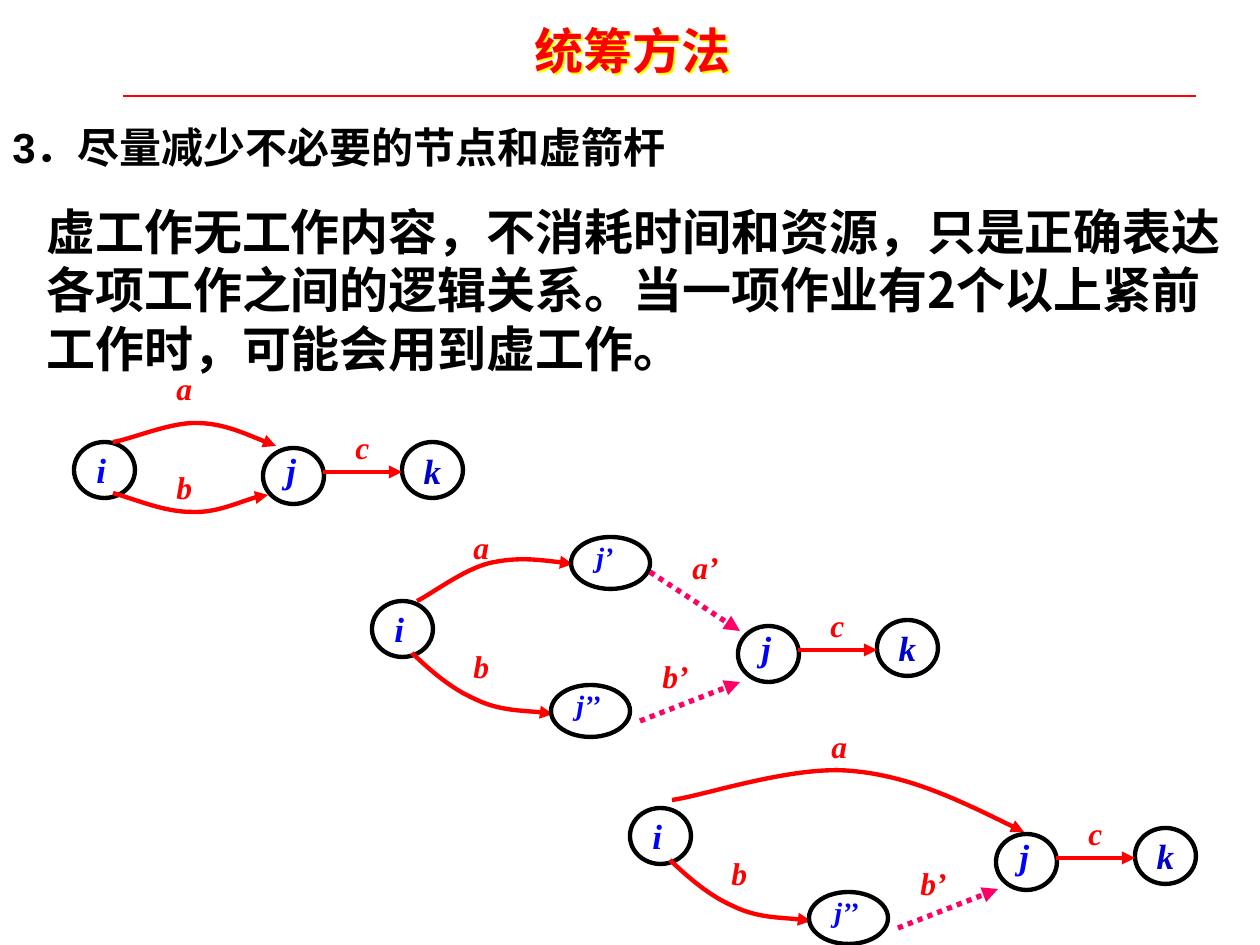
from lxml.etree import SubElement as Sub
from pptx import Presentation
from pptx.dml.color import RGBColor
from pptx.enum.dml import MSO_LINE
from pptx.enum.shapes import MSO_CONNECTOR, MSO_SHAPE
from pptx.enum.text import MSO_ANCHOR, PP_ALIGN
from pptx.oxml.ns import qn
from pptx.util import Pt

PX = 914400 / 126
RED = RGBColor(0xFF, 0x00, 0x00)
PINK = RGBColor(0xFF, 0x00, 0x66)
BLUE = RGBColor(0x00, 0x00, 0xFF)
NAVY = RGBColor(0x00, 0x00, 0xCC)
BLACK = RGBColor(0x00, 0x00, 0x00)
SANS = "Noto Sans CJK SC"
SERIF = "Times New Roman"
NODE = (61, 56)
WIDE = (79, 52)


def emu(*vals):
    return [round(v * PX) for v in vals]


def write(frame, text, size=18, color=RED, font=SERIF, east=None,
          italic=True, align=PP_ALIGN.LEFT, wrap=False):
    frame.word_wrap = wrap
    para = frame.paragraphs[0]
    para.alignment = align
    run = para.add_run()
    run.text = text
    face = run.font
    face.name, face.size, face.bold, face.italic = font, Pt(size), True, italic
    face.color.rgb = color
    if east:
        Sub(run._r.get_or_add_rPr(), qn("a:ea"), typeface=east)


def label(shapes, text, x, y, w=40, h=50, **form):
    box = shapes.add_textbox(*emu(x, y, w, h))
    write(box.text_frame, text, **form)
    return box


def style(line, color, width, arrow=True):
    line.color.rgb = color
    line.width = Pt(width)
    if arrow:
        Sub(line._get_or_add_ln(), qn("a:tailEnd"), type="triangle")


def link(shapes, x1, y1, x2, y2, color=RED, width=2.5, arrow=True, dash=False):
    wire = shapes.add_connector(MSO_CONNECTOR.STRAIGHT, *emu(x1, y1, x2, y2))
    if dash:
        wire.line.dash_style = MSO_LINE.ROUND_DOT
    style(wire.line, color, width, arrow)
    Sub(wire._element.spPr, qn("a:effectLst"))


def curve(shapes, x, y, pts):
    """Draw a Bezier arrow; pts are a start and then triples, from (x, y)."""
    spots = [tuple(emu(x + dx, y + dy)) for dx, dy in pts]
    form = shapes.build_freeform(*spots[0])
    form.add_line_segments(spots[1:], close=False)
    arc = form.convert_to_shape()
    arc.fill.background()
    arc.shadow.inherit = False
    style(arc.line, RED, 2.5)
    steps = list(arc._element.iter(qn("a:lnTo")))
    track = steps[0].getparent()
    for n in range(0, len(steps), 3):
        bend = Sub(track, qn("a:cubicBezTo"))
        for step in steps[n:n + 3]:
            bend.append(step[0])
            track.remove(step)


def node(shapes, x, y, size=NODE):
    oval = shapes.add_shape(MSO_SHAPE.OVAL, *emu(x, y, *size))
    oval.fill.background()
    oval.shadow.inherit = False
    style(oval.line, BLACK, 2.5, arrow=False)
    return oval


def start(shapes, x, y):
    node(shapes, x, y)
    label(shapes, "i", x + 10, y, 34, 56, size=20, color=BLUE)


def finish(shapes, x, y):
    """Place node j, arrow c and node k."""
    node(shapes, x, y + 6)
    label(shapes, "j", x + 11, y, 41, 56, size=20, color=BLUE, wrap=True)
    last = node(shapes, x + 139, y)
    last.text_frame.vertical_anchor = MSO_ANCHOR.MIDDLE
    write(last.text_frame, "k", size=20, color=NAVY, align=PP_ALIGN.CENTER)
    link(shapes, x + 60, y + 30, x + 139, y + 30)
    label(shapes, "c", x + 80, y - 20)


def middle(shapes, text, x, y):
    node(shapes, x, y, WIDE)
    label(shapes, text, x + 13, y - 4, 54, 47, size=16, color=BLUE, wrap=True)


def dummy(shapes, text, x, y, ends, spot):
    """Place a dotted arrow and its name."""
    x1, y1, x2, y2 = ends
    link(shapes, x + x1, y + y1, x + x2, y + y2, PINK, 3, dash=True)
    label(shapes, text, x + spot[0], y + spot[1], 52)


def lower(shapes, x, y):
    """Place the branch that runs from i through j’’ to j."""
    curve(shapes, x, y, [(40, 52), (60, 71), (80, 88), (103, 98),
                         (127, 110), (167, 110), (181, 113)])
    label(shapes, "b", x + 89, y + 40)
    middle(shapes, "j’’", x + 179, y + 84)
    dummy(shapes, "b’", x, y, (268, 120, 368, 81), (278, 50))


def direct(shapes, x, y):
    """Both branches run straight from i to j."""
    start(shapes, x, y)
    finish(shapes, x + 189, y)
    curve(shapes, x, y, [(39, 0), (55, -2), (94, -19), (121, -19),
                         (148, -19), (174, -7), (202, 4)])
    curve(shapes, x, y, [(39, 51), (66, 59), (91, 70), (118, 70),
                         (143, 71), (181, 53), (194, 53)])
    label(shapes, "a", x + 90, y - 79)
    label(shapes, "b", x + 90, y + 20)


def double(shapes, x, y):
    """Both branches use a dummy arrow."""
    start(shapes, x, y)
    finish(shapes, x + 366, y + 19)
    curve(shapes, x, y, [(45, 0), (58, -6), (92, -32), (118, -38),
                         (145, -44), (171, -41), (201, -37)])
    label(shapes, "a", x + 89, y - 79)
    middle(shapes, "j’", x + 199, y - 64)
    dummy(shapes, "a’", x, y, (278, -29, 368, 30), (308, -59))
    lower(shapes, x, y)


def single(shapes, x, y):
    """Only the lower branch uses a dummy arrow."""
    start(shapes, x, y)
    finish(shapes, x + 366, y + 20)
    curve(shapes, x, y, [(42, -8), (73, -12), (163, -43), (222, -37),
                         (280, -32), (337, -4), (394, 24)])
    label(shapes, "a", x + 189, y - 87)
    lower(shapes, x, y)


def header(shapes):
    title = label(shapes, "统筹方法", 522, 14, 246, 72, size=28, font=SANS,
                  east=SANS, italic=False)
    glow = Sub(Sub(title._element.spPr, qn("a:effectLst")), qn("a:outerShdw"),
               dist="25400", dir="2700000", algn="ctr", rotWithShape="0")
    Sub(glow, qn("a:srgbClr"), val="FFFF00")
    link(shapes, 123, 96, 1196, 96, width=1, arrow=False)


def prose(shapes):
    form = dict(color=BLACK, east=SANS, italic=False, wrap=True)
    label(shapes, "3．尽量减少不必要的节点和虚箭杆", 0, 115, 1081, 63,
          size=24, font="Arial", **form)
    label(shapes, "虚工作无工作内容，不消耗时间和资源，只是正确表达各项工作之间的"
          "逻辑关系。当一项作业有2个以上紧前工作时，可能会用到虚工作。",
          34, 195, 1226, 189, size=28, font=SANS, **form)


def main():
    deck = Presentation()
    deck.slide_width, deck.slide_height = emu(1260, 945)
    shapes = deck.slides.add_slide(deck.slide_layouts[6]).shapes
    header(shapes)
    prose(shapes)
    for draw, x, y in ((direct, 74, 442), (double, 372, 601),
                       (single, 630, 808)):
        draw(shapes.add_group_shape().shapes, x, y)
    deck.save("out.pptx")


if __name__ == "__main__":
    main()
